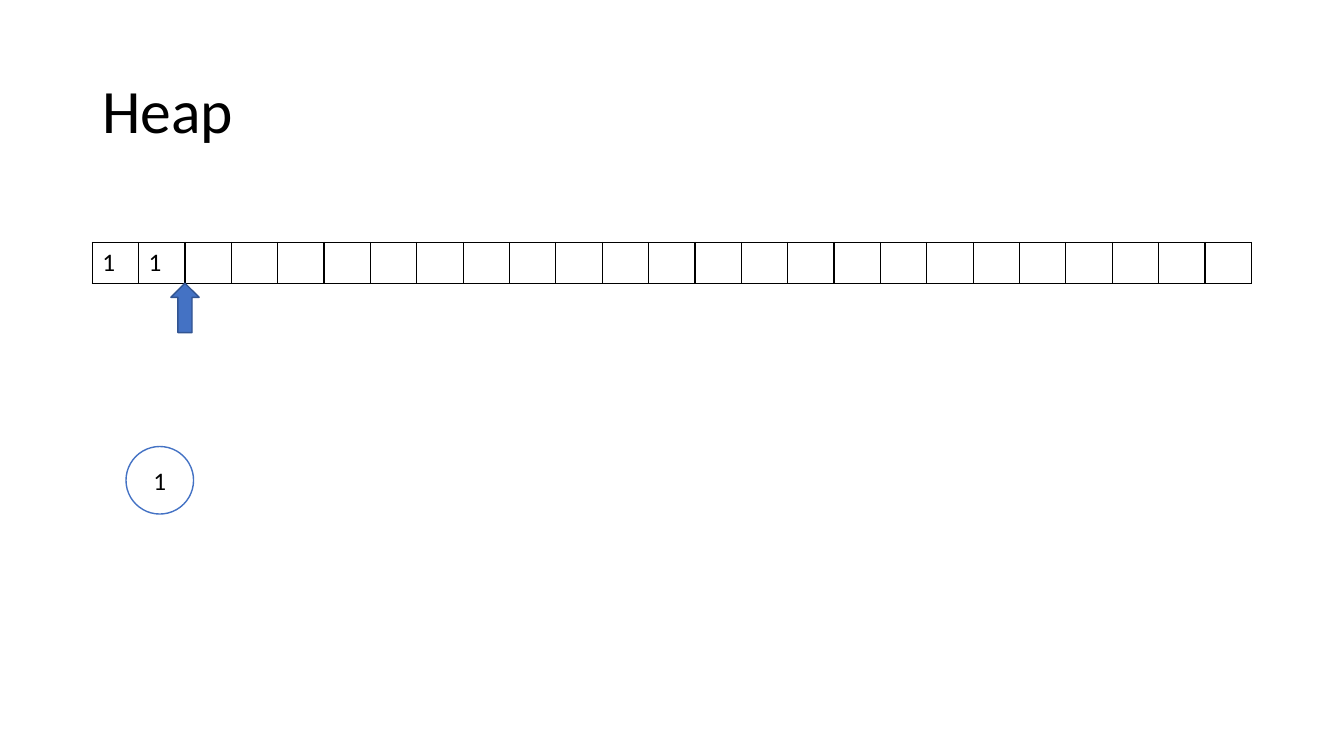
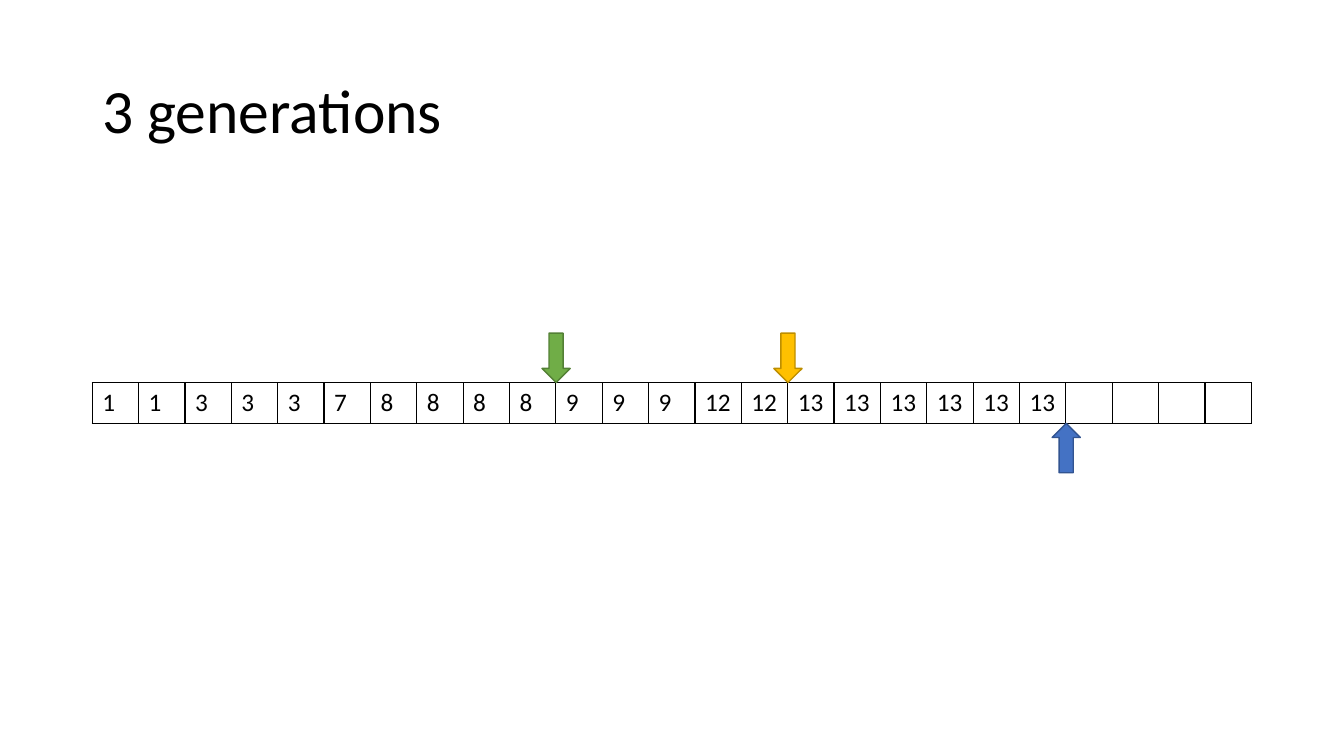
from lxml import etree
from pptx import Presentation
from pptx.dml.color import RGBColor
from pptx.enum.shapes import MSO_SHAPE
from pptx.enum.text import MSO_ANCHOR, PP_ALIGN
from pptx.oxml import parse_xml
from pptx.util import Inches, Pt

UP, OVAL = MSO_SHAPE.UP_ARROW, MSO_SHAPE.OVAL
LEFT, MID = PP_ALIGN.LEFT, PP_ALIGN.CENTER
MIDDLE = MSO_ANCHOR.MIDDLE
NS = "http://schemas.openxmlformats.org/drawingml/2006/main"

# Theme: font, type sizes, (fill, line) colours
THEME = {
    "font": "Calibri", "title": 44, "text": 18, "line": 1, "ink": "000000",
    "blue": ("4472C4", "325491"),
    "gold": ("FFC000", "BD8E00"),
    "green": ("70AD47", "538035"),
    "node": ("FFFFFF", "4472C4"),
}

# Grid in inches: one strip of equal cells, centred on the slide
WIDE, HIGH = 13.33, 7.5
COLS, CELL, ROW = 25, 0.46, 0.405
SPAN = COLS * CELL
EDGE = (WIDE - SPAN) / 2
ARROW_W, ARROW_H, NODE = 0.28, 0.49, 0.67

# Slide data: strip top, cell values, arrows (cells before it, colour, above),
# nodes (left, top, text)
SLIDES = [
    {"title": "Heap", "top": 2, "vals": [1, 1],
     "arrows": [(2, "blue", False)], "nodes": [(1.25, 4.43, "1")]},
    {"title": "3 generations", "top": 3.39,
     "vals": [1, 1] + [3] * 3 + [7] + [8] * 4 + [9] * 3 + [12] * 2 + [13] * 6,
     "arrows": [(21, "blue", False), (15, "gold", True), (10, "green", True)],
     "nodes": []},
]


def write(frame, text, size, align):
    frame.text = text
    para = frame.paragraphs[0]
    para.alignment = align
    look = {"name": THEME["font"], "size": Pt(size), "bold": False}
    for key, val in look.items():
        setattr(para.font, key, val)
    para.font.color.rgb = RGBColor.from_string(THEME["ink"])
    return para


def draw(slide, kind, box, tone):
    shape = slide.shapes.add_shape(kind, *map(Inches, box))
    shape.shadow.inherit = False
    fill, line = THEME[tone]
    shape.fill.solid()
    shape.fill.fore_color.rgb = RGBColor.from_string(fill)
    shape.line.color.rgb = RGBColor.from_string(line)
    shape.line.width = Pt(THEME["line"])
    return shape


deck = Presentation()
deck.slide_width, deck.slide_height = Inches(WIDE), Inches(HIGH)
layout = deck.slide_layouts[5]

# Title place, shared through the layout
place = {"left": EDGE, "top": 0.4, "width": SPAN, "height": 1.45}
for key, val in place.items():
    setattr(layout.placeholders[0], key, Inches(val))

for data in SLIDES:
    slide = deck.slides.add_slide(layout)
    title = slide.shapes.title.text_frame
    title.vertical_anchor = MIDDLE
    write(title, data["title"], THEME["title"], LEFT).line_spacing = 0.9

    # Strip: an open merged row over a row of boxed cells
    top = data["top"]
    box = map(Inches, (EDGE, top, SPAN, 2 * ROW))
    table = slide.shapes.add_table(2, COLS, *box).table
    table.first_row = table.horz_banding = False
    for col in table.columns:
        col.width = Inches(CELL)
    table.cell(0, 0).merge(table.cell(0, COLS - 1))
    for row, sides in enumerate(("B", "LRTB")):
        for col in range(COLS):
            cell = table.cell(row, col)
            cell.fill.background()
            for spot, side in enumerate(sides):
                edge = parse_xml(
                    f'<a:ln{side} xmlns:a="{NS}" w="{Pt(THEME["line"])}"/>')
                fill = etree.SubElement(edge, f"{{{NS}}}solidFill")
                etree.SubElement(fill, f"{{{NS}}}srgbClr", val=THEME["ink"])
                cell._tc.get_or_add_tcPr().insert(spot, edge)
    for col, val in enumerate(data["vals"]):
        write(table.cell(1, col).text_frame, str(val), THEME["text"], LEFT)

    # Arrows point at the border between two cells
    for count, tone, above in data["arrows"]:
        left = EDGE + count * CELL - ARROW_W / 2
        y = top + ROW - ARROW_H if above else top + 2 * ROW
        arrow = draw(slide, UP, (left, y, ARROW_W, ARROW_H), tone)
        arrow.rotation = 180 if above else 0

    # Tree nodes
    for left, y, text in data["nodes"]:
        node = draw(slide, OVAL, (left, y, NODE, NODE), "node")
        node.text_frame.vertical_anchor = MIDDLE
        write(node.text_frame, text, THEME["text"], MID)

deck.save("out.pptx")
